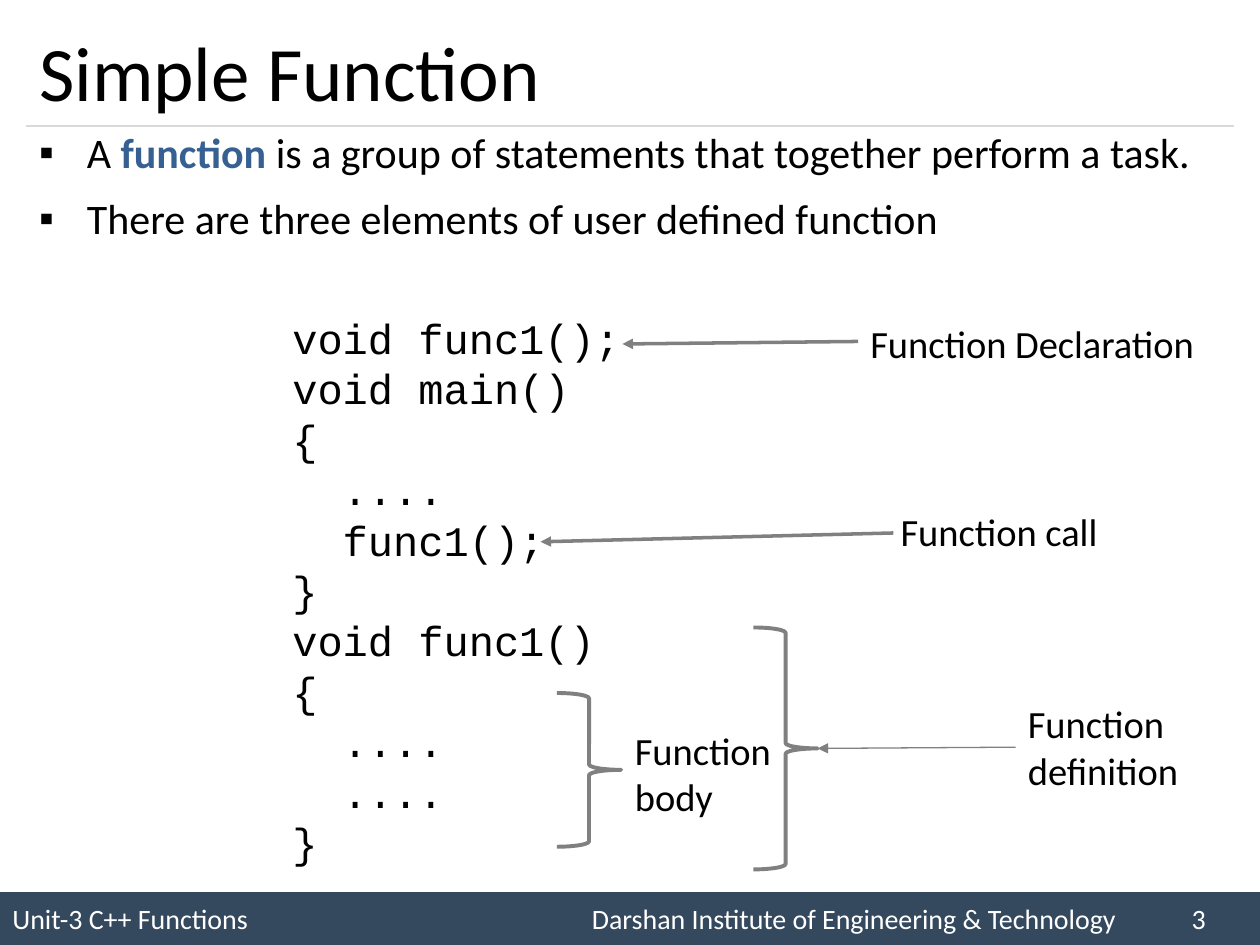
"""Build the Simple Function slide."""
from typing import Any, NamedTuple

from lxml import etree
from pptx import Presentation
from pptx import util as u
from pptx.dml.color import RGBColor
from pptx.enum import shapes, text
from pptx.oxml.ns import qn

BLACK, WHITE, GREY, RULE = "000000", "FFFFFF", "808080", "D9D9D9"
BLUE, NAVY = "376092", "34495E"


class Area(NamedTuple):
    left: float
    top: float
    width: float
    height: float


class Label(NamedTuple):
    area: Area
    lines: list[str]


class Line(NamedTuple):
    start: tuple[float, float]
    end: tuple[float, float]
    width: float


LABELS = [
    Label(Area(6.81, 2.49, 2.84, 0.47), ["Function Declaration"]),
    Label(Area(7.05, 3.98, 2.36, 0.47), ["Function call"]),
    Label(Area(4.94, 5.72, 1.28, 0.84), ["Function body"]),
    Label(Area(8.06, 5.51, 1.73, 0.84), ["Function", "definition"]),
]
BRACES = [Area(4.42, 5.5, 0.51, 1.22), Area(5.98, 4.98, 0.51, 1.92)]
ARROWS = [
    Line((6.81, 2.71), (4.94, 2.73), 2),
    Line((7.09, 4.23), (4.29, 4.3), 2),
    Line((8.06, 5.93), (6.49, 5.94), 0.75),
]
BULLETS = [
    [("A ", False), ("function", True),
     (" is a group of statements that together perform a task.", False)],
    [("There are three elements of user defined function", False)],
]
CODE = """void func1();
void main()
{
  ....
  func1();
}
void func1()
{
  ....
  ....
}""".split("\n")


def colour(code: str) -> RGBColor:
    """Turn a hex string into a colour."""
    return RGBColor.from_string(code)


def inches(values: tuple) -> list:
    """Turn numbers into lengths."""
    return [u.Inches(value) for value in values]


def apply(target: Any, values: dict) -> None:
    """Set each named attribute on the target."""
    for name, value in values.items():
        setattr(target, name, value)


def place(box: Any, area: Area) -> None:
    """Move and size a shape."""
    apply(box, dict(zip(area._fields, inches(area))))


def style(font: Any, size: float, code: str = BLACK, name: str = "Calibri", bold: bool = False) -> None:
    """Format a font."""
    apply(font, {"size": u.Pt(size), "name": name, "bold": bold})
    font.color.rgb = colour(code)


def write(box: Any, lines: list[str], size: float, code: str = BLACK, name: str = "Calibri") -> None:
    """Fill a box with left-aligned lines."""
    frame = box.text_frame
    frame.word_wrap = True
    for index, line in enumerate(lines):
        para = frame.add_paragraph() if index else frame.paragraphs[0]
        para.alignment = text.PP_ALIGN.LEFT
        span = para.add_run()
        span.text = line
        style(span.font, size, code, name)


def add_panel(page: Any, area: Area, fill: str) -> Any:
    """Draw a filled rectangle with middle-anchored text."""
    box = page.shapes.add_shape(shapes.MSO_SHAPE.RECTANGLE, *inches(area))
    box.shadow.inherit = False
    box.fill.solid()
    box.fill.fore_color.rgb = colour(fill)
    box.line.fill.background()
    box.text_frame.vertical_anchor = text.MSO_ANCHOR.MIDDLE
    return box


def add_footer(page: Any) -> None:
    """Draw the footer band with its tabbed text."""
    box = add_panel(page, Area(0, 7.08, 10, 0.42), NAVY)
    properties = box.text_frame.paragraphs[0]._p.get_or_add_pPr()
    stops = etree.SubElement(properties, qn("a:tabLst"))
    for position in (4.6, 9.36):
        etree.SubElement(stops, qn("a:tab"), pos=str(u.Inches(position)), algn="l")
    write(box, ["Unit-3 C++ Functions\tDarshan Institute of Engineering & Technology\t3"], 16, WHITE)


def add_line(page: Any, line: Line, code: str, arrow: bool = True) -> None:
    """Draw a straight line, with an arrowhead at its end if wanted."""
    link = page.shapes.add_connector(shapes.MSO_CONNECTOR.STRAIGHT, *inches(line.start + line.end))
    link.line.color.rgb = colour(code)
    link.line.width = u.Pt(line.width)
    if arrow:
        etree.SubElement(link.line._get_or_add_ln(), qn("a:tailEnd"), type="triangle")
    etree.SubElement(link._element.spPr, qn("a:effectLst"))


def add_brace(page: Any, area: Area) -> None:
    """Draw a right brace."""
    brace = page.shapes.add_shape(shapes.MSO_SHAPE.RIGHT_BRACE, *inches(area))
    brace.shadow.inherit = False
    brace.fill.background()
    brace.line.color.rgb = colour(GREY)
    brace.line.width = u.Pt(2.25)


def fill_title(box: Any) -> None:
    """Place and write the title."""
    place(box, Area(0.21, 0.12, 9.58, 0.88))
    apply(box.text_frame, {"vertical_anchor": text.MSO_ANCHOR.MIDDLE, "auto_size": text.MSO_AUTO_SIZE.NONE})
    write(box, ["Simple Function"], 44)


def fill_body(box: Any) -> None:
    """Place and write the bulleted list."""
    place(box, Area(0.21, 0.9, 9.58, 1.31))
    frame = box.text_frame
    frame.auto_size = text.MSO_AUTO_SIZE.NONE
    for index, spans in enumerate(BULLETS):
        para = frame.add_paragraph() if index else frame.paragraphs[0]
        properties = para._p.get_or_add_pPr()
        apply_indent = {"marL": u.Inches(0.38), "indent": u.Inches(-0.38)}
        for name, value in apply_indent.items():
            properties.set(name, str(value))
        etree.SubElement(properties, qn("a:buFont"), typeface="Arial")
        etree.SubElement(properties, qn("a:buChar"), char="▪")
        apply(para, {"line_spacing": 1.14, "space_before": u.Pt(5 if index else 0)})
        for words, strong in spans:
            span = para.add_run()
            span.text = words
            style(span.font, 24, BLUE if strong else BLACK, bold=strong)


def add_code(page: Any) -> None:
    """Draw the code listing."""
    box = add_panel(page, Area(2.32, 2.46, 2.82, 4.44), WHITE)
    margins = ("margin_left", "margin_top", "margin_right", "margin_bottom")
    apply(box.text_frame, dict.fromkeys(margins, 0))
    write(box, CODE, 24, name="Courier New")


def main() -> None:
    """Build and save the deck."""
    deck = Presentation()
    deck.slide_width, deck.slide_height = inches((10, 7.5))
    page = deck.slides.add_slide(deck.slide_layouts[1])
    add_footer(page)
    add_line(page, Line((0.21, 1), (9.79, 1), 0.75), RULE, arrow=False)
    fill_title(page.shapes.title)
    fill_body(page.placeholders[1])
    add_code(page)
    for label in LABELS:
        write(page.shapes.add_textbox(*inches(label.area)), label.lines, 22)
    for area in BRACES:
        add_brace(page, area)
    for line in ARROWS:
        add_line(page, line, GREY)
    deck.save("out.pptx")


if __name__ == "__main__":
    main()
